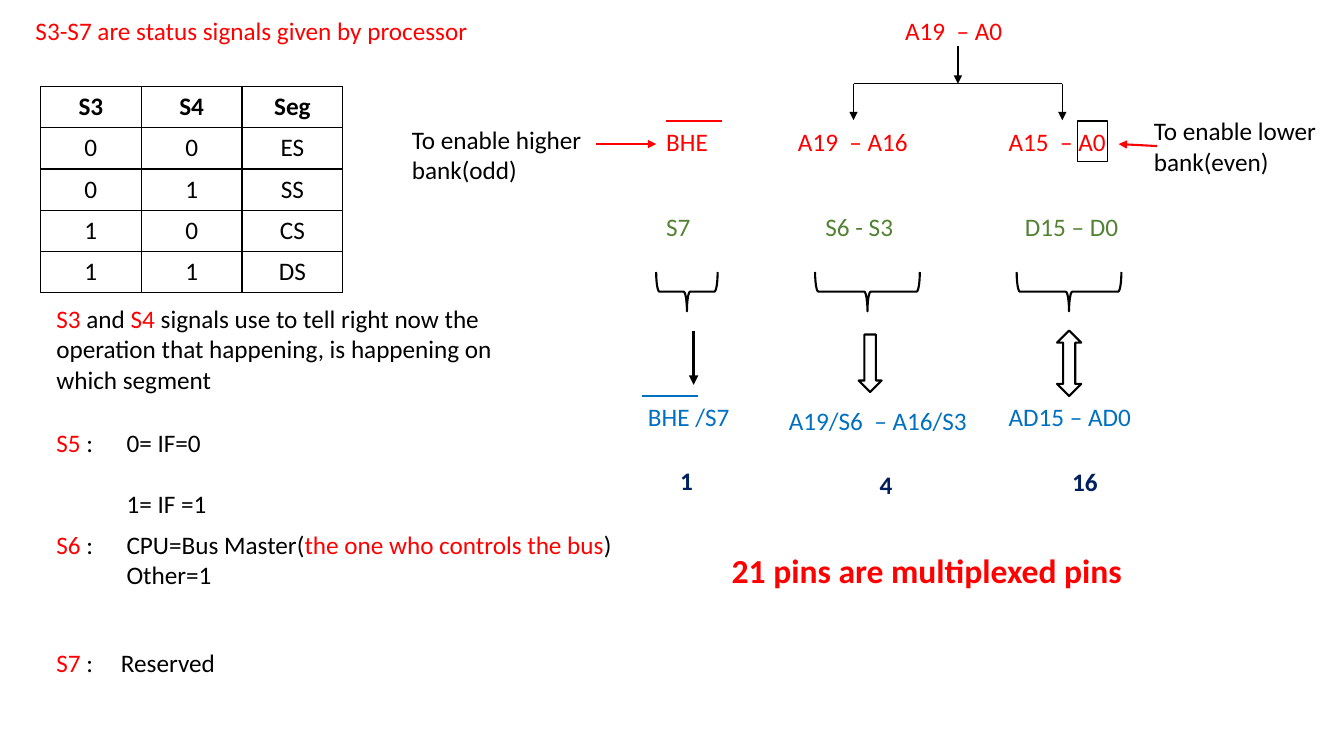
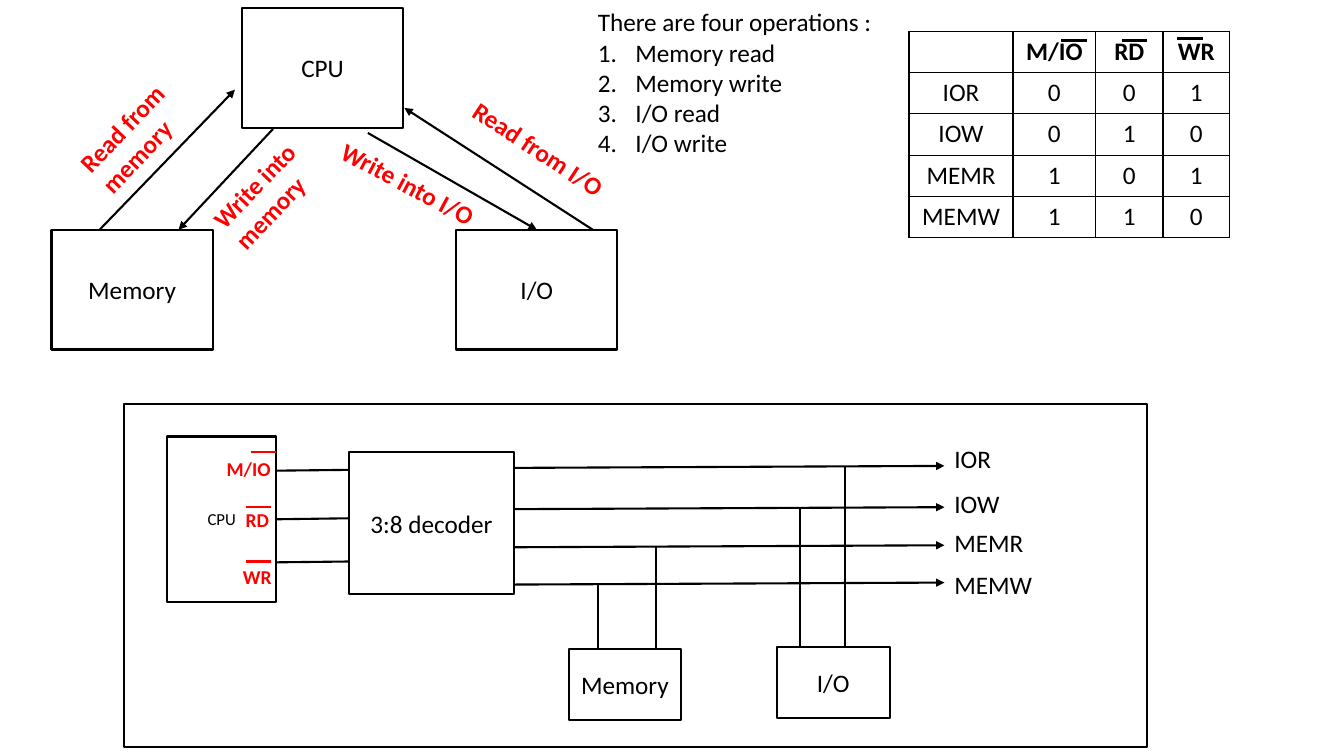
from dataclasses import dataclass

from lxml import etree
from pptx import Presentation
from pptx.dml.color import RGBColor
from pptx.enum.shapes import MSO_CONNECTOR, MSO_SHAPE
from pptx.enum.text import MSO_ANCHOR, MSO_AUTO_SIZE, PP_ALIGN
from pptx.oxml.ns import qn
from pptx.util import Cm, Pt

STRAIGHT = MSO_CONNECTOR.STRAIGHT
RECTANGLE = MSO_SHAPE.RECTANGLE
BRACE = MSO_SHAPE.RIGHT_BRACE
DOWN_ARROW = MSO_SHAPE.DOWN_ARROW
UP_DOWN_ARROW = MSO_SHAPE.UP_DOWN_ARROW
LEFT, CENTER = PP_ALIGN.LEFT, PP_ALIGN.CENTER
TOP, MIDDLE = MSO_ANCHOR.TOP, MSO_ANCHOR.MIDDLE
NO_FIT = MSO_AUTO_SIZE.NONE
TOP_SIDE, RIGHT_SIDE = 0, 3
TITLE_ONLY, TITLE_AND_BODY = 5, 1


@dataclass(frozen=True)
class Theme:
    font: str = "Calibri"
    black: RGBColor = RGBColor(0, 0, 0)
    red: RGBColor = RGBColor(255, 0, 0)
    green: RGBColor = RGBColor(0x54, 0x82, 0x35)
    blue: RGBColor = RGBColor(0, 0x70, 0xC0)
    navy: RGBColor = RGBColor(0, 0x20, 0x60)
    tiny: int = 12
    small: int = 14
    body: int = 18
    large: int = 24
    thin: float = 1
    medium: float = 1.5
    thick: float = 2.25
    row_height: float = 1.04
    label_height: float = 1.02


THEME = Theme()


def style_paragraph(para, size=THEME.body, color=THEME.black, bold=False, align=LEFT):
    para.alignment = align
    para.line_spacing = 1
    para.space_before = Pt(0)
    font = para.font
    font.name, font.size, font.bold = THEME.font, Pt(size), bold
    if color is not None:
        font.color.rgb = color


def write_spans(para, spans):
    for text, color in spans:
        span = para.add_run()
        span.text = text
        span.font.color.rgb = color
    style_paragraph(para, color=None)


def set_indent(para, margin, first=0):
    properties = para._p.get_or_add_pPr()
    properties.set("marL", str(Cm(margin)))
    properties.set("indent", str(Cm(first)))


@dataclass
class Region:
    page: object
    left: float
    top: float

    def place(self, left, top, width, height):
        return Cm(self.left + left), Cm(self.top + top), Cm(width), Cm(height)

    def frame(self, left, top, width, height):
        box = self.page.shapes.add_textbox(*self.place(left, top, width, height))
        box.text_frame.word_wrap = True
        return box

    def label(self, text, left, top, width=3.6, height=THEME.label_height, turn=0, **style):
        box = self.frame(left, top, width, height)
        box.rotation = turn
        para = box.text_frame.paragraphs[0]
        para.text = text
        style_paragraph(para, **style)

    def shape(self, kind, left, top, width, height, text="", weight=THEME.medium, size=THEME.body):
        box = self.page.shapes.add_shape(kind, *self.place(left, top, width, height))
        box.shadow.inherit = False
        box.fill.background()
        box.line.color.rgb = THEME.black
        box.line.width = Pt(weight)
        if text:
            box.text_frame.vertical_anchor = MIDDLE
            para = box.text_frame.paragraphs[0]
            para.text = text
            style_paragraph(para, size=size, align=CENTER)
        return box

    def line(self, start, end, color=THEME.black, weight=THEME.medium, arrow=False):
        ends = self.place(*start, 0, 0)[:2] + self.place(*end, 0, 0)[:2]
        connector = self.page.shapes.add_connector(STRAIGHT, *ends)
        connector.line.color.rgb = color
        connector.line.width = Pt(weight)
        properties = connector.element.spPr
        if arrow:
            etree.SubElement(properties.find(qn("a:ln")), qn("a:tailEnd"), type="triangle")
        etree.SubElement(properties, qn("a:effectLst"))
        return connector

    def overline(self, left, top, length=0.64, **style):
        self.line((left, top), (left + length, top), **style)

    def title(self, text, width, color=THEME.black):
        box = self.page.shapes.title
        box.left, box.top, box.width, box.height = self.place(0, 0, width, 0.9)
        box.text_frame.vertical_anchor = TOP
        box.text_frame.auto_size = NO_FIT
        box.text_frame.text = text
        style_paragraph(box.text_frame.paragraphs[0], color=color)

    def table(self, rows, widths):
        size = self.place(0, 0, sum(widths), THEME.row_height * len(rows))
        grid = self.page.shapes.add_table(len(rows), len(widths), *size).table
        grid.horz_banding = False
        for column, width in zip(grid.columns, widths):
            column.width = Cm(width)
        for row_index, row in enumerate(rows):
            grid.rows[row_index].height = Cm(THEME.row_height)
            for column_index, text in enumerate(row):
                cell = grid.cell(row_index, column_index)
                cell.text = text
                style_paragraph(cell.text_frame.paragraphs[0], bold=row_index == 0, align=CENTER)
                border_cell(cell)


def border_cell(cell):
    properties = cell._tc.get_or_add_tcPr()
    for side in ("a:lnL", "a:lnR", "a:lnT", "a:lnB"):
        edge = etree.SubElement(properties, qn(side), w=str(Pt(THEME.thin)))
        fill = etree.SubElement(edge, qn("a:solidFill"))
        etree.SubElement(fill, qn("a:srgbClr"), val=str(THEME.black))
    cell.fill.background()


def draw_status_notes(region):
    black, red = THEME.black, THEME.red
    box = region.frame(0, 0, 12.98, 2.57)
    write_spans(box.text_frame.paragraphs[0], [
        ("S3", red), (" and ", black), ("S4", red),
        (" signals use to tell right now the operation that happening, "
         "is happening on which segment", black),
    ])
    notes = [
        ("S5", 3.12, 1.77, [("0= IF=0", black)], "1= IF =1", 22),
        ("S6", 5.69, 1.77, [("CPU=Bus Master(", black), ("the one who controls the bus", red),
                            (")", black)], "Other=1", 0),
        ("S7", 8.66, 1.63, [("Reserved", black)], "", 0),
    ]
    for signal, top, indent, spans, second, gap in notes:
        text = region.frame(0, top, 17.35, 2.3).text_frame
        para = text.paragraphs[0]
        set_indent(para, indent, -indent)
        write_spans(para, [(signal, red), (" :\t", black)] + spans)
        if second:
            para = text.add_paragraph()
            para.text = second
            set_indent(para, indent)
            style_paragraph(para)
            para.space_before = Pt(gap)


def draw_pin_multiplexing(region):
    red, green, blue, navy = THEME.red, THEME.green, THEME.blue, THEME.navy
    for text, left, top, color in [
        ("A19  – A0", 12.56, 0, red),
        ("BHE", 6.54, 2.8, red), ("A19  – A16", 9.86, 2.8, red), ("A15  – A0", 15.17, 2.8, red),
        ("S7", 6.54, 4.96, green), ("S6 - S3", 10.55, 4.96, green), ("D15 – D0", 15.58, 4.96, green),
        ("BHE /S7", 6.08, 9.73, blue), ("AD15 – AD0", 15.17, 9.73, blue),
    ]:
        region.label(text, left, top, color=color)
    region.label("A19/S6  – A16/S3", 9.63, 9.83, 5.72, color=blue)
    for count, left, top in [("1", 6.89, 11.36), ("4", 11.92, 11.46), ("16", 16.77, 11.38)]:
        region.label(count, left, top, 1.3, color=navy, bold=True)

    depth = 0.99
    for center, span in [(7.31, 1.55), (11.86, 2.64), (16.94, 2.64)]:
        brace = region.shape(BRACE, center - depth / 2, 7.1 - span / 2, depth, span)
        brace.rotation = 90
    region.line((7.48, 8.08), (7.48, 9.45), weight=THEME.thick, arrow=True)
    region.shape(DOWN_ARROW, 11.64, 8.18, 0.58, 1.45)
    region.shape(UP_DOWN_ARROW, 16.64, 8.08, 0.61, 1.65)

    branches = (11.51, 16.77)
    middle, fork = sum(branches) / 2, 1.86
    region.line((middle, 0.92), (middle, fork), weight=THEME.thin, arrow=True)
    region.line((branches[0], fork), (branches[1], fork), weight=THEME.thin)
    for branch in branches:
        region.line((branch, fork), (branch, 2.78), weight=THEME.thin, arrow=True)

    region.overline(6.79, 2.8, 1.4, color=red, weight=THEME.thin)
    region.overline(6.18, 9.73, 1.42, color=blue, weight=THEME.thin)
    region.shape(RECTANGLE, 17.15, 2.8, 0.76, 1.02, weight=THEME.thin)
    region.label("To enable higher bank(odd)", 0.13, 2.75, 5.03, 1.8)
    region.label("To enable lower bank(even)", 18.83, 2.54, 5.03, 1.8)
    region.line((5.01, 3.38), (6.54, 3.38), color=red, arrow=True)
    region.line((19.16, 3.43), (18.19, 3.38), color=red, arrow=True)
    region.label("21 pins are multiplexed pins", 8.19, 13.49, 12.34, 1.27,
                 size=THEME.large, color=red, bold=True)


def draw_transfers(region):
    width, height, lower = 4.06, 3.02, 5.59
    region.shape(RECTANGLE, 4.8, 0, width, height, "CPU")
    region.shape(RECTANGLE, 0, lower, width, height, "Memory")
    ports = region.shape(RECTANGLE, 10.2, lower, width, height, "I/O")
    for start, end in [
        ((1.21, lower), (4.62, 2.06)),
        ((5.58, 3.05), (3.2, lower)),
        ((13.64, lower), (8.89, 2.52)),
    ]:
        region.line(start, end, arrow=True)
    write = region.line((7.97, 3.15), (10.2 + width / 2, lower), arrow=True)
    write.end_connect(ports, TOP_SIDE)
    for text, left, top, wide, high, turn in [
        ("Read from memory", 0.22, 1.96, 4.47, 1.75, 313.7),
        ("Write into memory", 3.58, 3.38, 4.47, 1.75, 313.7),
        ("Read from I/O", 10.13, 3.08, 4.39, 1.02, 33.3),
        ("Write into I/O", 6.88, 3.97, 4.39, 1.02, 28.1),
    ]:
        region.label(text, left, top, wide, high, turn, color=THEME.red, bold=True)


def draw_operations(region):
    width = 8
    region.title("There are four operations :", width)
    body = region.page.placeholders[1]
    body.left, body.top, body.width, body.height = region.place(0, 0.9, width, 3.4)
    text = body.text_frame
    text.auto_size = NO_FIT
    text.margin_top = 0
    text.text = "\n".join(["Memory read", "Memory write", "I/O read", "I/O write"])
    for para in text.paragraphs:
        set_indent(para, 0.95, -0.95)
        etree.SubElement(para._p.get_or_add_pPr(), qn("a:buAutoNum"), type="arabicPeriod")
        style_paragraph(para)


def draw_control_table(region):
    region.table([
        ("", "M/IO", "RD", "WR"),
        ("IOR", "0", "0", "1"),
        ("IOW", "0", "1", "0"),
        ("MEMR", "1", "0", "1"),
        ("MEMW", "1", "1", "0"),
    ], (2.62, 2.08, 1.7, 1.68))
    for left, top in [(3.84, 0.23), (5.36, 0.23), (6.76, 0.18)]:
        region.overline(left, top)


def draw_decoder_circuit(region):
    processor = region.shape(RECTANGLE, 1.1, 0.81, 2.74, 4.17, "CPU", size=THEME.tiny)
    region.shape(RECTANGLE, 5.67, 1.21, 4.17, 3.58, "3:8 decoder")
    wires = []
    for text, left, top, bar_left, bar_top, wire in [
        ("M/IO", 2.34, 1.21, 3.2, 1.21, 1.67),
        ("RD", 2.82, 2.48, 3.08, 2.59, 2.89),
        ("WR", 2.75, 3.93, 3.08, 3.96, 3.98),
    ]:
        region.label(text, left, top, 1.9, 0.86, size=THEME.small, color=THEME.red, bold=True)
        region.overline(bar_left, bar_top, color=THEME.red)
        wires.append(region.line((3.84, wire), (5.67, wire - 0.02)))
    wires[1].begin_connect(processor, RIGHT_SIDE)

    memory_top, ports_top = 6.17, 6.12
    for text, label_top, wire, drop, bottom in [
        ("IOR", 0.86, 1.6, 18.18, ports_top),
        ("IOW", 2.0, 2.64, 17.05, ports_top),
        ("MEMR", 2.97, 3.6, 13.42, memory_top),
        ("MEMW", 4.03, 4.54, 11.94, memory_top),
    ]:
        region.line((9.84, wire), (20.68, wire - 0.05), arrow=True)
        region.label(text, 20.68, label_top)
        region.line((drop, wire - 0.03), (drop, bottom))
    region.shape(RECTANGLE, 11.21, memory_top, 2.84, 1.78, "Memory")
    region.shape(RECTANGLE, 16.46, ports_top, 2.84, 1.78, "I/O")
    region.shape(RECTANGLE, 0, 0, 25.78, 8.64)


def build_status_page(deck):
    page = deck.slides.add_slide(deck.slide_layouts[TITLE_ONLY])
    Region(page, 0.64, 0.25).title(
        "S3-S7 are status signals given by processor", 16.87, THEME.red)
    draw_pin_multiplexing(Region(page, 10, 0.25))
    Region(page, 1.02, 2.18).table([
        ("S3", "S4", "Seg"),
        ("0", "0", "ES"),
        ("0", "1", "SS"),
        ("1", "0", "CS"),
        ("1", "1", "DS"),
    ], (2.54,) * 3)
    draw_status_notes(Region(page, 1.17, 7.52))


def build_operations_page(deck):
    page = deck.slides.add_slide(deck.slide_layouts[TITLE_AND_BODY])
    draw_transfers(Region(page, 1.3, 0.2))
    draw_operations(Region(page, 14.81, 0.03))
    draw_control_table(Region(page, 22.91, 0.79))
    draw_decoder_circuit(Region(page, 3.12, 10.19))


def main():
    deck = Presentation()
    deck.slide_width, deck.slide_height = Cm(33.87), Cm(19.05)
    build_status_page(deck)
    build_operations_page(deck)
    deck.save("out.pptx")


if __name__ == "__main__":
    main()
